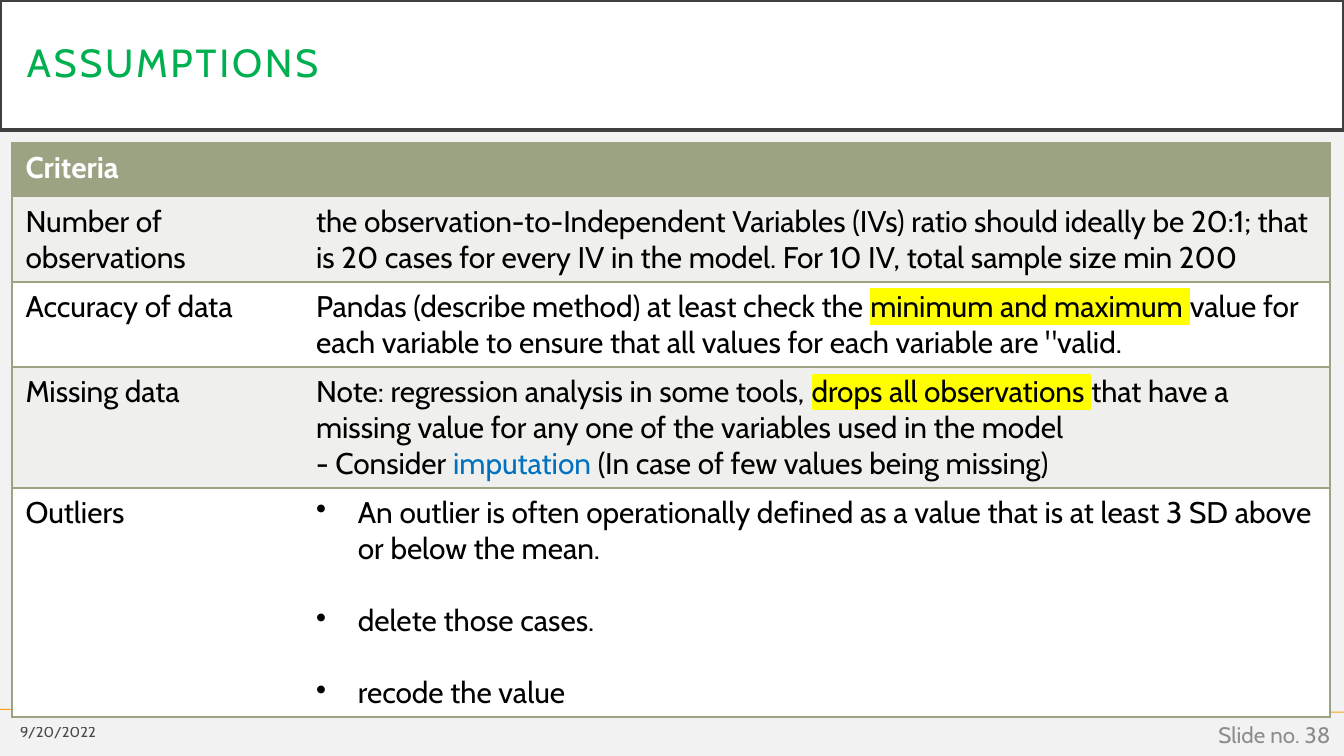
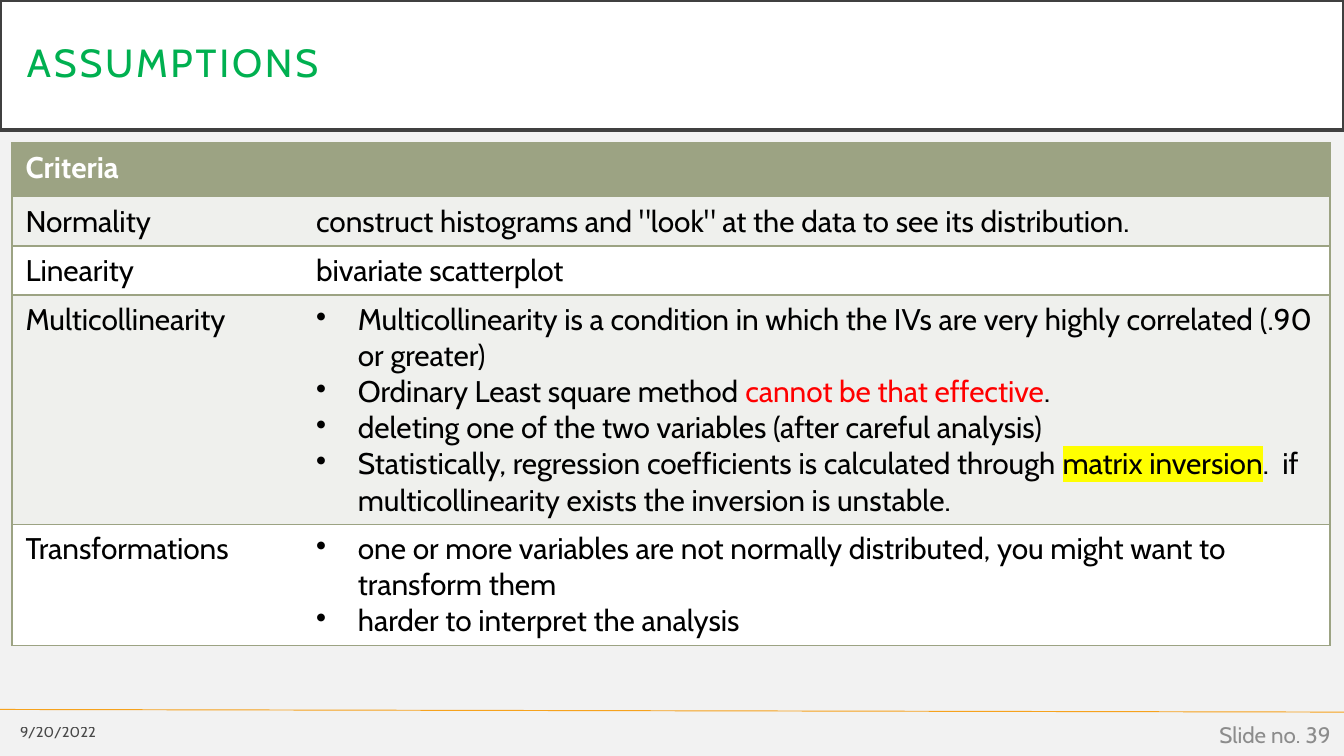
from dataclasses import dataclass

from lxml import etree
from pptx import Presentation
from pptx.dml.color import RGBColor
from pptx.enum.shapes import MSO_CONNECTOR, MSO_SHAPE
from pptx.enum.text import MSO_ANCHOR, PP_ALIGN
from pptx.oxml.ns import qn
from pptx.util import Cm, Pt

STRAIGHT = MSO_CONNECTOR.STRAIGHT
RECTANGLE = MSO_SHAPE.RECTANGLE
MIDDLE = MSO_ANCHOR.MIDDLE
LEFT, RIGHT = PP_ALIGN.LEFT, PP_ALIGN.RIGHT

WIDTH, HEIGHT = Cm(25.4), Cm(14.29)
NO_TABLE_STYLE = "{2D5ABB26-0587-4C30-8999-92F81FD0307C}"


@dataclass
class Row:
    """A criterion, its paragraphs and the text lines they fill."""
    label: str
    lines: int
    paragraphs: list
    bulleted: bool = False
    gap: float = 0


def color(value):
    return RGBColor.from_string(value)


def add_color(parent, value):
    etree.SubElement(parent, qn("a:srgbClr"), val=value)


class Deck:
    FONT = "Cabin"
    BLACK, WHITE = "000000", "FFFFFF"
    BACKGROUND, FRAME, RULE = "F2F2F2", "404040", "F6A21D"
    TITLE, NUMBER = "00B050", "8C8C8C"
    SAGE, BAND = "9CA383", "EFF0ED"
    RED, BLUE, YELLOW = "FF0000", "0070C0", "FFFF00"
    TEXT_SIZE = 16
    COLUMNS = (Cm(5.49), Cm(19.41))
    HEADER_HEIGHT, LINE_HEIGHT, CELL_PADDING = Cm(0.97), Cm(0.68), Cm(0.25)

    def __init__(self):
        self.presentation = Presentation()
        self.presentation.slide_width = WIDTH
        self.presentation.slide_height = HEIGHT
        self.slide = None

    def add_slide(self, title, date, number):
        layout = self.presentation.slide_layouts[6]
        self.slide = self.presentation.slides.add_slide(layout)
        fill = self.slide.background.fill
        fill.solid()
        fill.fore_color.rgb = color(self.BACKGROUND)
        self.rule()
        self.title(title)
        date_font = self.footer(date, 0, Cm(13.49), Cm(2.06), Cm(0.69), 7.9, self.BLACK)
        black = date_font._element.find(".//" + qn("a:srgbClr"))
        etree.SubElement(black, qn("a:alpha"), val="70000")
        self.footer(f"Slide no. {number}", Cm(19.69), Cm(13.51), Cm(5.71), Cm(0.76),
                    12, self.NUMBER)

    def style(self, paragraph, size, text_color, bold=False, align=LEFT):
        paragraph.alignment = align
        font = paragraph.font
        font.name = self.FONT
        font.size = Pt(size)
        font.bold = bold
        font.color.rgb = color(text_color)
        return font

    def rule(self):
        line = self.slide.shapes.add_connector(STRAIGHT, 0, Cm(13.41), WIDTH, Cm(13.46))
        line.line.color.rgb = color(self.RULE)
        line.line.width = Pt(0.5)
        etree.SubElement(line._element.spPr, qn("a:effectLst"))

    def title(self, text):
        shape = self.slide.shapes.add_shape(RECTANGLE, 0, 0, WIDTH, Cm(2.46))
        shape.shadow.inherit = False
        shape.fill.solid()
        shape.fill.fore_color.rgb = color(self.WHITE)
        shape.line.color.rgb = color(self.FRAME)
        shape.line.width = Pt(2.5)
        frame = shape.text_frame
        frame.word_wrap = True
        frame.vertical_anchor = MIDDLE
        frame.margin_left = frame.margin_right = Cm(0.51)
        frame.margin_top = frame.margin_bottom = Cm(0.51)
        paragraph = frame.paragraphs[0]
        paragraph.text = text
        paragraph.line_spacing = 0.9
        self.style(paragraph, 21, self.TITLE)
        # Letter spacing in hundredths of a point
        paragraph.runs[0]._r.get_or_add_rPr().set("spc", "150")

    def footer(self, text, left, top, width, height, size, text_color):
        box = self.slide.shapes.add_textbox(left, top, width, height)
        frame = box.text_frame
        frame.word_wrap = True
        frame.vertical_anchor = MIDDLE
        paragraph = frame.paragraphs[0]
        paragraph.text = text
        self.style(paragraph, size, text_color, align=RIGHT)
        return paragraph

    def bullet(self, paragraph):
        properties = paragraph._p.get_or_add_pPr()
        properties.set("marL", str(Cm(0.79)))
        properties.set("indent", str(-Cm(0.79)))
        etree.SubElement(properties, qn("a:buChar"), char="•")

    def run(self, paragraph, text, text_color=None, highlight=None):
        run = paragraph.add_run()
        run.text = text
        if text_color:
            run.font.color.rgb = color(text_color)
        if highlight:
            mark = etree.SubElement(run._r.get_or_add_rPr(), qn("a:highlight"))
            add_color(mark, highlight)

    def borders(self, cell, sides):
        properties = cell._tc.get_or_add_tcPr()
        for position, side in enumerate(sides):
            line = etree.Element(qn(f"a:ln{side}"), w=str(Pt(1)))
            add_color(etree.SubElement(line, qn("a:solidFill")), self.SAGE)
            properties.insert(position, line)

    def cell(self, cell, paragraphs, fill, text_color, bold=False, bulleted=False, gap=0):
        cell.fill.solid()
        cell.fill.fore_color.rgb = color(fill)
        frame = cell.text_frame
        for index, parts in enumerate(paragraphs):
            paragraph = frame.add_paragraph() if index else frame.paragraphs[0]
            if bulleted:
                self.bullet(paragraph)
            if index and gap:
                paragraph.space_before = Pt(gap)
            self.style(paragraph, self.TEXT_SIZE, text_color, bold)
            for part in [parts] if isinstance(parts, str) else parts:
                self.run(paragraph, *([part] if isinstance(part, str) else part))

    def criteria_table(self, rows):
        heights = [self.HEADER_HEIGHT]
        heights += [self.CELL_PADDING + row.lines * self.LINE_HEIGHT for row in rows]
        table = self.slide.shapes.add_table(
            len(heights), len(self.COLUMNS), Cm(0.23), Cm(2.7),
            sum(self.COLUMNS), sum(heights)).table
        table._tbl.tblPr.find(qn("a:tableStyleId")).text = NO_TABLE_STYLE
        table.horz_banding = False
        for column, width in zip(table.columns, self.COLUMNS):
            column.width = width
        for table_row, height in zip(table.rows, heights):
            table_row.height = height

        # Header, then banded rows
        self.cell(table.cell(0, 0), ["Criteria"], self.SAGE, self.WHITE, bold=True)
        self.cell(table.cell(0, 1), [""], self.SAGE, self.WHITE, bold=True)
        for index, row in enumerate(rows, 1):
            fill = self.BAND if index % 2 else self.WHITE
            self.cell(table.cell(index, 0), [row.label], fill, self.BLACK)
            self.cell(table.cell(index, 1), row.paragraphs, fill, self.BLACK,
                      bulleted=row.bulleted, gap=row.gap)
        for index in range(len(heights)):
            self.borders(table.cell(index, 0), "LTB")
            self.borders(table.cell(index, 1), "RTB")


def marked(text):
    return text, None, Deck.YELLOW


DATA_CRITERIA = [
    Row("Number of observations", 2, [
        "the observation-to-Independent Variables (IVs) ratio should ideally be 20:1; "
        "that is 20 cases for every IV in the model. For 10 IV, total sample size min 200"]),
    Row("Accuracy of data", 2, [
        ["Pandas (describe method) at least check the ", marked("minimum and maximum "),
         'value for each variable to ensure that all values for each variable are "valid.']]),
    Row("Missing data", 3, [
        ["Note: regression analysis in some tools, ", marked("drops all observations "),
         "that have a missing value for any one of the variables used in the model"],
        ["- Consider ", ("imputation ", Deck.BLUE),
         "(In case of few values being missing)"]]),
    Row("Outliers", 6, [
        "An outlier is often operationally defined as a value that is at least 3 SD "
        "above or below the mean.",
        "delete those cases.",
        "recode the value"], bulleted=True, gap=19.3),
]

MODEL_CRITERIA = [
    Row("Normality", 1, [
        'construct histograms and "look" at the data to see its distribution.']),
    Row("Linearity", 1, ["bivariate scatterplot"]),
    Row("Multicollinearity", 6, [
        "Multicollinearity is a condition in which the IVs are very highly correlated "
        "(.90 or greater)",
        ["Ordinary Least square method ", ("cannot be that effective", Deck.RED), "."],
        "deleting one of the two variables (after careful analysis)",
        ["Statistically, regression coefficients is calculated through ",
         marked("matrix inversion"),
         ".  if multicollinearity exists the inversion is unstable."]], bulleted=True),
    Row("Transformations", 3, [
        "one or more variables are not normally distributed, you might want to "
        "transform them",
        "harder to interpret the analysis"], bulleted=True),
]


def main():
    deck = Deck()
    for number, rows in enumerate((DATA_CRITERIA, MODEL_CRITERIA), 38):
        deck.add_slide("ASSUMPTIONS", "9/20/2022", number)
        deck.criteria_table(rows)
    deck.presentation.save("out.pptx")


if __name__ == "__main__":
    main()
